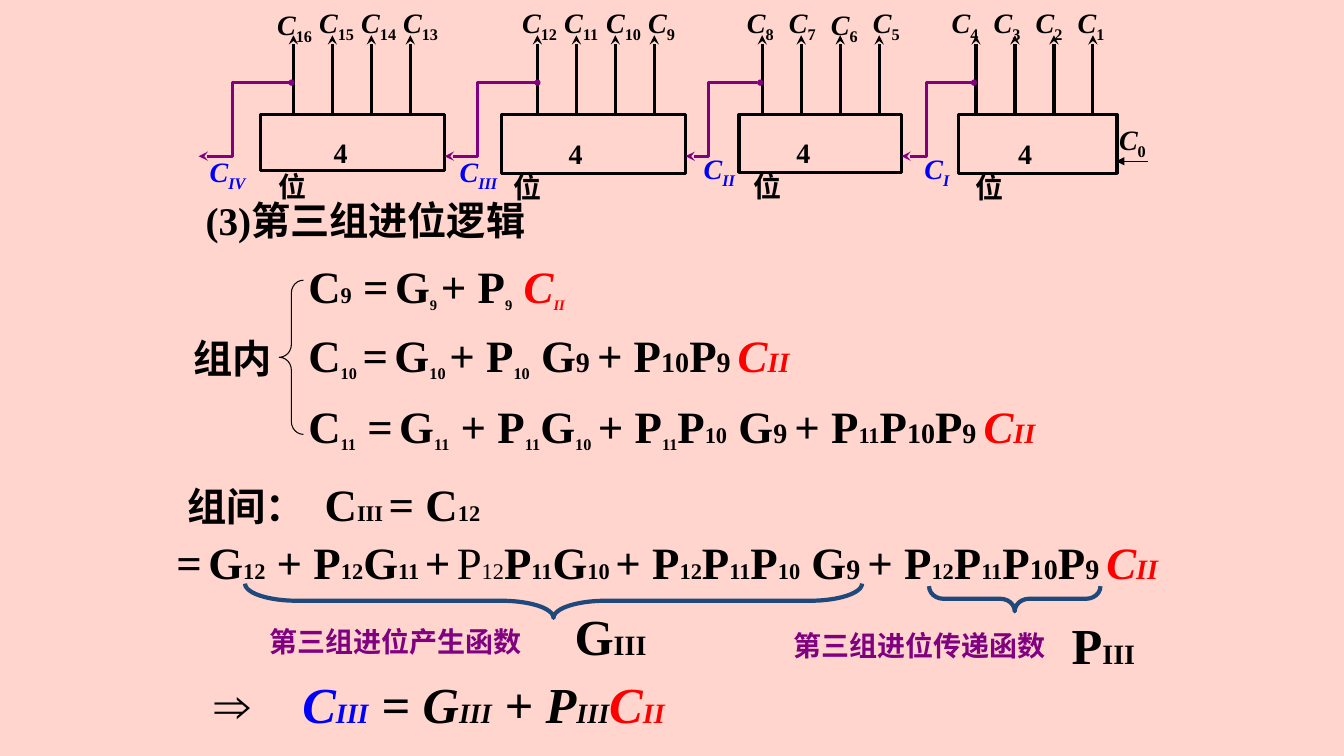
from lxml.etree import SubElement
from pptx import Presentation
from pptx.dml.color import RGBColor
from pptx.enum.shapes import MSO_CONNECTOR, MSO_SHAPE
from pptx.enum.text import MSO_AUTO_SIZE
from pptx.oxml.ns import qn
from pptx.util import Inches, Pt

COLORS = {
    "pink": "FFD5CD",
    "black": "000000",
    "red": "FF0000",
    "blue": "0000FF",
    "purple": "800080",
    "navy": "1F497D",
}
LATIN = "Times New Roman"
CHINESE = "Noto Sans CJK SC"
FIRST_HAN = "一"


class Board:
    """Draws styled elements on the current slide."""

    def __init__(self, deck):
        self.page = deck.slides.add_slide(deck.slide_layouts[6])
        self.shapes = self.page.shapes
        background = self.page.background.fill
        background.solid()
        background.fore_color.rgb = self.color("pink")

    def color(self, name):
        return RGBColor.from_string(COLORS[name])

    def text(self, left, top, width, height, spans, inset=0.1, indent=0):
        box = self.shapes.add_textbox(Inches(left), Inches(top), Inches(width), Inches(height))
        frame = box.text_frame
        frame.word_wrap = True
        frame.auto_size = MSO_AUTO_SIZE.SHAPE_TO_FIT_TEXT
        frame.margin_left = frame.margin_right = Inches(inset)
        para = frame.paragraphs[0]
        if indent:
            properties = para._p.get_or_add_pPr()
            properties.set("marL", "0")
            properties.set("indent", str(Inches(indent)))
        for words, size, *marks in spans:
            self.span(para, words, size, marks)

    def span(self, para, words, size, marks):
        span = para.add_run()
        span.text = words
        font = span.font
        font.size = Pt(size)
        font.bold = "light" not in marks
        font.italic = "italic" in marks
        font.color.rgb = self.color(next((mark for mark in marks if mark in COLORS), "black"))
        font.name = CHINESE if min(words) >= FIRST_HAN else LATIN
        properties = span._r.get_or_add_rPr()
        if max(words) >= FIRST_HAN:
            SubElement(properties, qn("a:ea"), typeface=CHINESE)
        if "sub" in marks:
            properties.set("baseline", "-25000")

    def symbol(self, left, top, width, index, marks=(), index_marks=()):
        spans = [("C", 20, "italic", *marks), (index, 20, "sub", *marks, *index_marks)]
        self.text(left, top, width, 0.43, spans)

    def stroke(self, line, color, weight, head=None, tail=None):
        line.color.rgb = self.color(color)
        line.width = Pt(weight)
        outline = line._get_or_add_ln()
        for end, kind in (("a:headEnd", head), ("a:tailEnd", tail)):
            if kind:
                size = "sm" if kind == "oval" else "med"
                SubElement(outline, qn(end), type=kind, w=size, len=size)

    def outline(self, kind, left, top, width, height, color, weight, adjustments=(), rotation=0):
        shape = self.shapes.add_shape(
            kind, Inches(left), Inches(top), Inches(width), Inches(height))
        shape.shadow.inherit = False
        shape.fill.background()
        shape.rotation = rotation
        for position, value in enumerate(adjustments):
            shape.adjustments[position] = value
        self.stroke(shape.line, color, weight)

    def brace(self, left, top, width, height, curl, color, weight, rotation=0):
        self.outline(MSO_SHAPE.LEFT_BRACE, left, top, width, height, color, weight,
                     (curl, 0.5), rotation)

    def arrow(self, start, end, weight, head=None, tail=None):
        line = self.shapes.add_connector(
            MSO_CONNECTOR.STRAIGHT, *(Inches(value) for value in (*start, *end)))
        self.stroke(line.line, "black", weight, head, tail)
        SubElement(line._element.spPr, qn("a:effectLst"))

    def carry_path(self, source, elbow, target):
        points = [(Inches(x), Inches(y))
                  for x, y in ((source, 0.82), (elbow, 0.82), (elbow, 1.55), (target, 1.55))]
        builder = self.shapes.build_freeform(*points[0])
        builder.add_line_segments(points[1:], close=False)
        path = builder.convert_to_shape()
        path.shadow.inherit = False
        path.fill.background()
        self.stroke(path.line, "purple", 2.25, "oval", "stealth")

    def adder(self, top_bit, block, caption, first_arrow, first_label, carry, carry_label):
        left, width, height = block
        caption_left, caption_top, caption_width, indent = caption
        self.text(caption_left, caption_top, caption_width, 0.43, [("4位", 20)], indent=indent)
        self.outline(MSO_SHAPE.RECTANGLE, left, 1.14, width, height, "black", 2.25)
        for position in range(4):
            bit = top_bit - position
            x = first_arrow + position * 1.16 / 3
            self.arrow((x, 1.15), (x, 0.35), 2.25, tail="stealth")
            label_top = 0.03 if bit in (16, 6) else 0.01
            label_width = 0.62 if bit > 9 else 0.53
            self.symbol(first_label + position * 1.25 / 3, label_top, label_width, str(bit))
        self.carry_path(*carry)
        name, x, y = carry_label
        self.symbol(x, y, 0.82, name, ("blue",), ("italic",))


ADDERS = [
    (16, (2.58, 1.83, 0.55), (2.66, 1.3, 1.08, 0.55), 2.91, 2.65,
     (2.89, 2.31, 1.97), ("IV", 1.98, 1.48)),
    (12, (4.97, 1.83, 0.58), (4.99, 1.31, 1.08, 0.55), 5.33, 5.08,
     (5.33, 4.74, 4.41), ("III", 4.46, 1.48)),
    (8, (7.33, 1.61, 0.57), (7.38, 1.3, 0.94, 0.42), 7.56, 7.31,
     (7.54, 7.03, 6.8), ("II", 6.88, 1.45)),
    (4, (9.51, 1.57, 0.58), (9.58, 1.31, 0.94, 0.42), 9.68, 9.34,
     (9.66, 9.19, 8.94), ("I", 9.07, 1.45)),
]
GROUP_CARRY = [("C", 32, "italic", "red"), ("II", 20, "italic", "red")]
P10_P9 = [("P", 32), ("10", 20), ("P", 32), ("9 ", 20)]
C9 = [
    ("C", 32), ("9", 16), (" =", 32), (" ", 18), ("G", 32), ("9 ", 18, "sub"),
    ("+ P", 32), ("9", 18, "sub"), (" ", 32),
    ("C", 32, "italic", "red"), ("II", 18, "sub", "italic", "red"),
]
C10 = [
    ("C", 32), ("10", 20, "sub"), (" ", 16), ("=", 32), (" ", 18),
    ("G", 32), ("10", 20, "sub"), (" ", 18, "sub"), ("+ P", 32), ("10", 20, "sub"),
    (" G", 32), ("9 ", 20), ("+ ", 32), *P10_P9, *GROUP_CARRY,
]
C11 = [
    ("C", 32), ("11", 20, "sub"), (" =", 32), (" ", 18), ("G", 32), ("11", 20, "sub"),
    (" + P", 32), ("11", 20, "sub"), ("G", 32), ("10", 20, "sub"), (" ", 18),
    ("+ P", 32), ("11", 20, "sub"), ("P", 32), ("10", 16), (" G", 32), ("9 ", 20),
    ("+ P", 32), ("11", 16), *P10_P9, *GROUP_CARRY,
]
C12 = [
    ("=", 32), (" ", 18), ("G", 32), ("12", 16), (" + P", 32), ("12", 16),
    ("G", 32), ("11 ", 16), ("+", 32), (" ", 18, "light"),
    ("P", 32, "light"), ("12", 16, "light"), ("P", 32), ("11", 16), ("G", 32), ("10 ", 16),
    ("+ P", 32), ("12", 16), ("P", 32), ("11", 16), ("P", 32), ("10", 16),
    (" G", 32), ("9 ", 20), ("+ P", 32), ("12", 16), ("P", 32), ("11", 16),
    *P10_P9, *GROUP_CARRY,
]
RESULT = [
    ("C", 36, "italic", "blue"), ("III", 20, "italic", "blue"),
    (" = G", 36, "italic"), ("III", 20, "italic"), (" + P", 36, "italic"),
    ("III", 20, "italic"), ("C", 36, "italic", "red"), ("II", 20, "italic", "red"),
]


def main():
    deck = Presentation()
    deck.slide_width, deck.slide_height = Inches(13.33), Inches(7.5)
    board = Board(deck)

    for adder in ADDERS:
        board.adder(*adder)
    board.symbol(11, 1.17, 0.58, "0")
    board.arrow((11.07, 1.6), (11.39, 1.6), 0.75, head="triangle")

    board.text(1.94, 1.9, 4.02, 0.57, [("(3)第三组进位逻辑", 28)])
    board.text(1.82, 3.27, 2.36, 0.57, [("组内", 28)])
    board.brace(2.77, 2.78, 0.24, 1.53, 0.53, "black", 0.75)
    board.text(2.96, 2.52, 3.2, 0.63, C9)
    board.text(2.96, 3.2, 5.4, 0.63, C10)
    board.text(2.96, 3.91, 7.9, 0.63, C11)

    board.text(1.76, 4.74, 2.36, 0.57, [("组间：", 28)])
    board.text(3.22, 4.68, 3.04, 0.63,
               [("C", 32), ("III ", 16), ("= C", 32), ("12", 16)], inset=0)
    board.text(1.75, 5.26, 10.2, 0.63, C12, inset=0)
    board.brace(5.32, 2.9, 0.34, 6.12, 1.52, "navy", 3, rotation=270)
    board.brace(9.94, 5.09, 0.25, 1.7, 0.57, "navy", 3, rotation=270)
    board.text(2.57, 6.15, 3.32, 0.44, [("第三组进位产生函数", 20, "purple")])
    board.text(7.77, 6.19, 2.93, 0.44, [("第三组进位传递函数", 20, "purple")])
    board.text(5.6, 5.95, 1.1, 0.7, [("G", 36), ("III", 20)])
    board.text(10.53, 6.04, 1, 0.7, [("P", 36), ("III", 20)])
    board.text(2.03, 6.63, 0.8, 0.7, [("⇒", 36, "italic")])
    board.text(2.9, 6.63, 6.21, 0.7, RESULT)

    deck.save("out.pptx")


if __name__ == "__main__":
    main()
